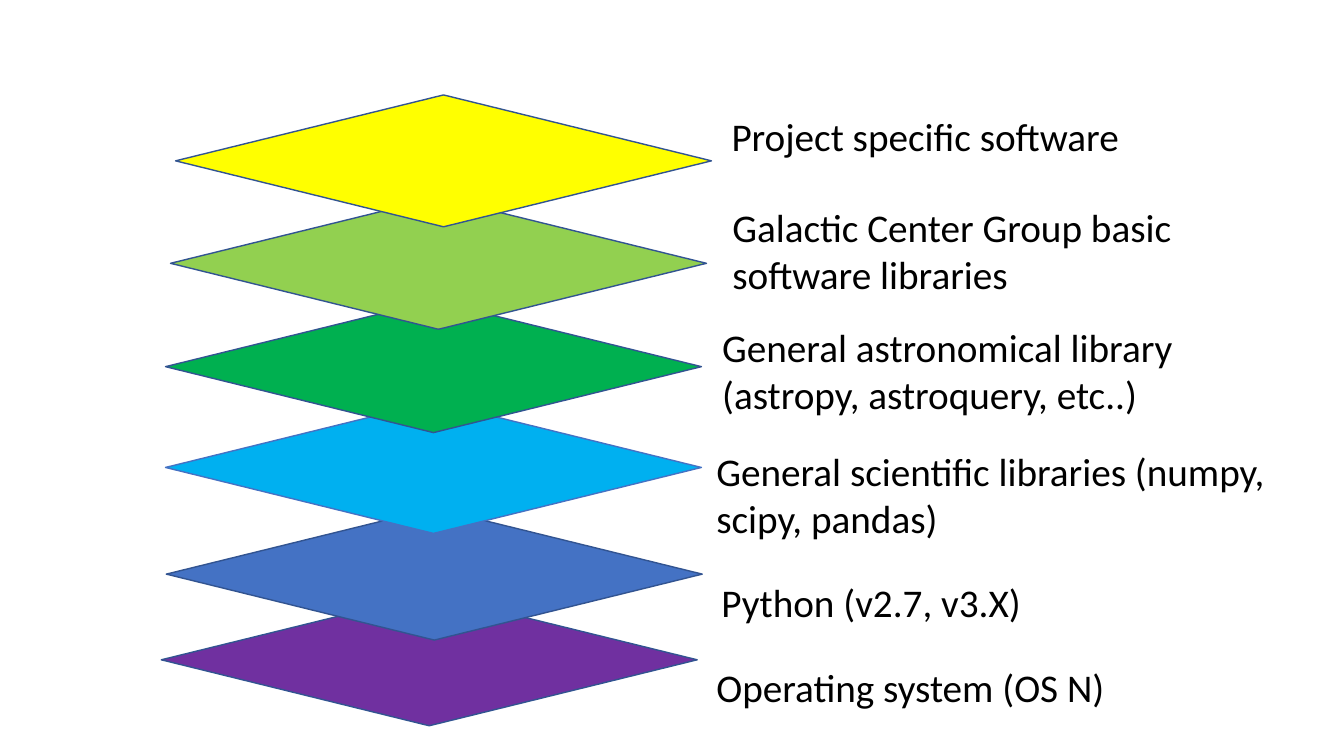
from dataclasses import dataclass
from typing import Any

from pptx import Presentation
from pptx.dml.color import RGBColor
from pptx.enum.shapes import MSO_SHAPE as Preset
from pptx.enum.text import MSO_AUTO_SIZE as AutoSize
from pptx.util import Inches, Pt

COLUMNS, ROWS = 16, 9
SLIDE_WIDTH, SLIDE_HEIGHT = Inches(13.33), Inches(7.5)
SHEET_COLUMNS, SHEET_ROWS = 6.38, 1.57
LINE_ROWS, EXTRA_LINE_ROWS = 0.68, 0.57

YELLOW = RGBColor(0xFF, 0xFF, 0x00)
LIME = RGBColor(0x92, 0xD0, 0x50)
GREEN = RGBColor(0x00, 0xB0, 0x50)
SKY = RGBColor(0x00, 0xB0, 0xF0)
BLUE = RGBColor(0x44, 0x72, 0xC4)
PURPLE = RGBColor(0x70, 0x30, 0xA0)
NAVY = RGBColor(0x32, 0x54, 0x91)
BLACK = RGBColor(0x00, 0x00, 0x00)

CAPTION_FONT = {"name": "Calibri", "size": Pt(28)}
CAPTION_FRAME = {"word_wrap": True, "auto_size": AutoSize.SHAPE_TO_FIT_TEXT}


@dataclass(frozen=True)
class Layer:
    caption: str
    fill: RGBColor
    sheet_column: float
    sheet_row: float
    caption_column: float
    caption_row: float
    caption_columns: float
    caption_lines: int = 1
    edge: RGBColor = NAVY
    wraps: bool = True


LAYERS_FROM_BOTTOM = (
    Layer("Operating system (OS N)", PURPLE, 1.92, 7.07, 8.41, 7.84, 5.03),
    Layer("Python (v2.7, v3.X)", BLUE, 1.98, 6.05, 8.47, 6.82, 4.64),
    Layer("General scientific libraries (numpy, scipy, pandas)", SKY,
          1.97, 4.78, 8.41, 5.27, 7.42, caption_lines=2, edge=BLUE),
    Layer("General astronomical library (astropy, astroquery, etc..)", GREEN,
          1.97, 3.58, 8.48, 3.79, 7.01, caption_lines=2),
    Layer("Galactic Center Group basic software libraries", LIME,
          2.03, 2.35, 8.6, 2.36, 6.6, caption_lines=2),
    Layer("Project specific software", YELLOW,
          2.09, 1.13, 8.59, 1.28, 4.92, wraps=False),
)


def grid_box(column: float, row: float, columns: float, rows: float) -> tuple[int, ...]:
    across, down = SLIDE_WIDTH / COLUMNS, SLIDE_HEIGHT / ROWS
    return tuple(round(length) for length in
                 (column * across, row * down, columns * across, rows * down))


def apply_format(target: Any, values: dict[str, Any]) -> None:
    for attribute, value in values.items():
        setattr(target, attribute, value)


def draw_sheet(shapes: Any, layer: Layer) -> None:
    sheet = shapes.add_shape(Preset.DIAMOND, *grid_box(
        layer.sheet_column, layer.sheet_row, SHEET_COLUMNS, SHEET_ROWS))
    sheet.shadow.inherit = False
    sheet.fill.solid()
    sheet.fill.fore_color.rgb = layer.fill
    sheet.line.color.rgb = layer.edge
    sheet.line.width = Pt(1)


def draw_caption(shapes: Any, layer: Layer) -> None:
    rows = LINE_ROWS + (layer.caption_lines - 1) * EXTRA_LINE_ROWS
    frame = shapes.add_textbox(*grid_box(
        layer.caption_column, layer.caption_row, layer.caption_columns, rows)).text_frame
    apply_format(frame, CAPTION_FRAME | {"word_wrap": layer.wraps})
    words = frame.paragraphs[0].add_run()
    words.text = layer.caption
    apply_format(words.font, CAPTION_FONT)
    words.font.color.rgb = BLACK


def main() -> None:
    deck = Presentation()
    apply_format(deck, {"slide_width": SLIDE_WIDTH, "slide_height": SLIDE_HEIGHT})
    shapes = deck.slides.add_slide(deck.slide_layouts[6]).shapes
    for layer in LAYERS_FROM_BOTTOM:
        draw_sheet(shapes, layer)
        draw_caption(shapes, layer)
    deck.save("out.pptx")


main()
